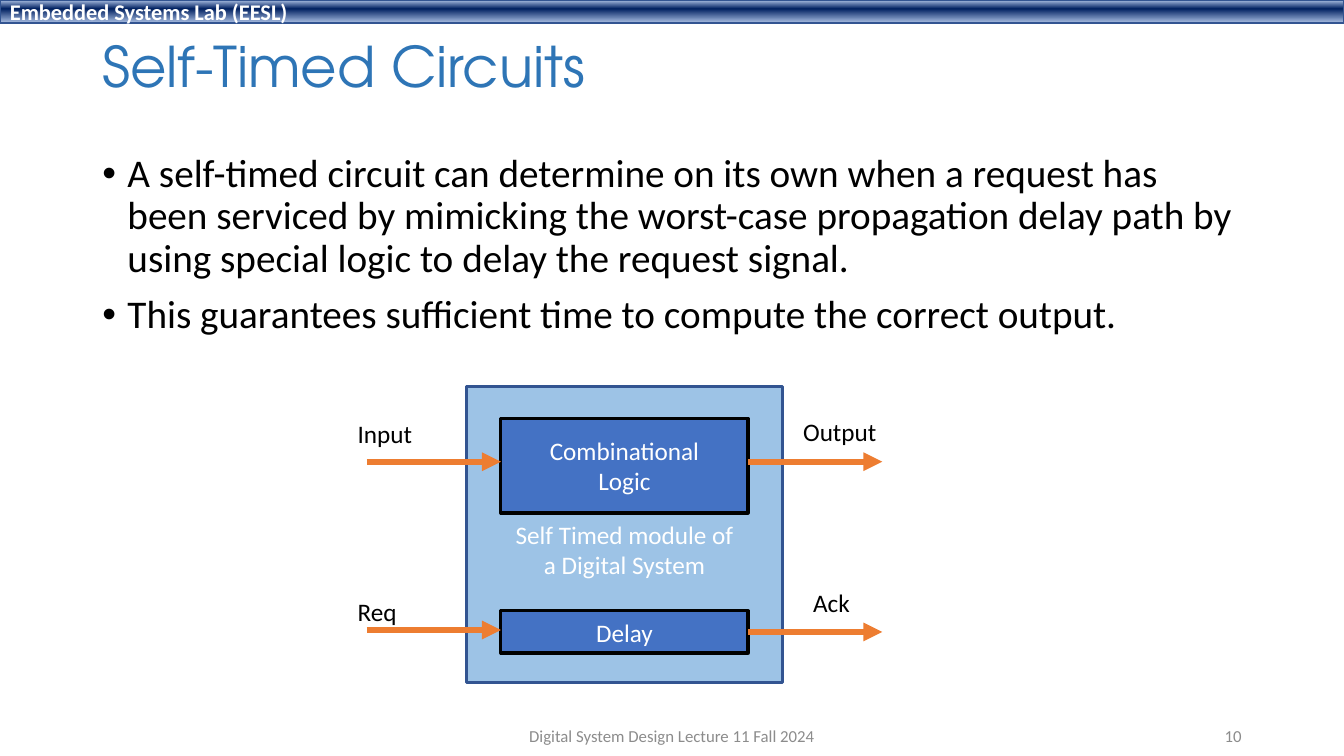
from dataclasses import dataclass
from lxml.etree import SubElement
from pptx import Presentation
from pptx.dml.color import RGBColor
from pptx.enum.shapes import MSO_CONNECTOR, MSO_SHAPE
from pptx.enum.text import MSO_ANCHOR, MSO_AUTO_SIZE, PP_ALIGN
from pptx.oxml import parse_xml
from pptx.oxml.ns import nsdecls, qn
from pptx.util import Pt


@dataclass(frozen=True)
class Theme:
    """Colours, fonts and type sizes of the slide."""
    white: str = "FFFFFF"
    black: str = "000000"
    title: str = "2E75B6"
    edge: str = "325491"
    module: str = "9DC3E6"
    block: str = "4472C4"
    arrow: str = "ED7D31"
    footer: str = "8C8C8C"
    bar_stops: tuple = ((0, "ABC0E4"), (38, "002060"), (100, "ACC1E5"))
    body_font: str = "Calibri"
    title_font: str = "TeX Gyre Adventor"
    title_size: int = 40
    body_size: int = 28
    label_size: int = 18
    bar_size: int = 16
    footer_size: int = 12


THEME = Theme()


def assign(target, values):
    """Set each attribute named in a dict."""
    for name, value in values.items():
        setattr(target, name, value)


def place(box):
    """Turn a box in points into lengths."""
    return [Pt(value) for value in box]


def write(frame, lines, size, color, font=THEME.body_font, bold=False,
          para_format=None, bullet=False, **frame_format):
    """Fill a text frame with one paragraph per line."""
    assign(frame, {"word_wrap": True, "auto_size": MSO_AUTO_SIZE.NONE,
                   "vertical_anchor": MSO_ANCHOR.MIDDLE, **frame_format})
    for index, line in enumerate(lines):
        para = frame.paragraphs[0] if index == 0 else frame.add_paragraph()
        if bullet:
            properties = para._p.get_or_add_pPr()
            properties.set("marL", str(Pt(18)))
            properties.set("indent", str(-Pt(18)))
            SubElement(properties, qn("a:buFont")).set("typeface", "Arial")
            SubElement(properties, qn("a:buChar")).set("char", "•")
            para.space_before = Pt(10 if index else 0)
        assign(para, {"alignment": PP_ALIGN.LEFT, **(para_format or {})})
        span = para.add_run()
        span.text = line
        assign(span.font, {"name": font, "size": Pt(size), "bold": bold})
        span.font.color.rgb = RGBColor.from_string(color)


def add_text(page, box, lines, size, color, **options):
    """Add a text box."""
    write(page.shapes.add_textbox(*place(box)).text_frame, lines, size, color, **options)


def add_block(page, box, fill, edge, width):
    """Add an outlined rectangle and return it."""
    block = page.shapes.add_shape(MSO_SHAPE.RECTANGLE, *place(box))
    block.shadow.inherit = False
    block.fill.solid()
    block.fill.fore_color.rgb = RGBColor.from_string(fill)
    block.line.color.rgb = RGBColor.from_string(edge)
    block.line.width = Pt(width)
    return block


def add_arrow(page, left, right, height):
    """Add a horizontal arrow pointing right."""
    arrow = page.shapes.add_connector(
        MSO_CONNECTOR.STRAIGHT, *place((left, height, right, height)))
    arrow.line.color.rgb = RGBColor.from_string(THEME.arrow)
    arrow.line.width = Pt(4.5)
    SubElement(arrow.line._get_or_add_ln(), qn("a:tailEnd")).set("type", "triangle")
    SubElement(arrow._element.spPr, qn("a:effectLst"))


def add_bar(page, box):
    """Add the gradient bar with the lab name."""
    bar = add_block(page, box, THEME.block, THEME.edge, 1)
    bar.fill.gradient()
    bar.fill.gradient_angle = 270
    gradient = bar._element.spPr.find(qn("a:gradFill"))
    stops = "".join(f'<a:gs pos="{position * 1000}"><a:srgbClr val="{color}"/></a:gs>'
                    for position, color in THEME.bar_stops)
    gradient.replace(gradient.find(qn("a:gsLst")),
                     parse_xml(f'<a:gsLst {nsdecls("a")}>{stops}</a:gsLst>'))
    write(bar.text_frame, ["Embedded Systems Lab (EESL)"], THEME.bar_size,
          THEME.white, bold=True)


def add_title(page, box):
    """Move and format the title placeholder."""
    title = page.shapes.title
    assign(title, dict(zip(("left", "top", "width", "height"), place(box))))
    write(title.text_frame, ["Self-Timed Circuits"], THEME.title_size, THEME.title,
          font=THEME.title_font, para_format={"line_spacing": 0.9})


def add_body(page, box):
    """Add the bulleted text."""
    add_text(page, box, [
        "A self-timed circuit can determine on its own when a request has been serviced "
        "by mimicking the worst-case propagation delay path by using special logic to "
        "delay the request signal.",
        "This guarantees sufficient time to compute the correct output.",
    ], THEME.body_size, THEME.black, bullet=True,
        para_format={"line_spacing": 0.9}, vertical_anchor=MSO_ANCHOR.TOP)


def add_diagram(page, box):
    """Draw the module with its two blocks, arrows and labels."""
    left, top, width, height = box
    inset, reach = 24.4, 95.8
    centred = {"alignment": PP_ALIGN.CENTER}
    module = add_block(page, box, THEME.module, THEME.edge, 2.25)
    write(module.text_frame, ["Self Timed module of", "a Digital System"],
          THEME.label_size, THEME.white, para_format=centred, margin_top=Pt(25.6))
    for lines, offset, block_height in ((["Combinational", "Logic"], 23, 67.7),
                                        (["Delay"], 160.5, 30.2)):
        block = add_block(page, (left + inset, top + offset, width - 2 * inset, block_height),
                          THEME.block, THEME.black, 2.25)
        write(block.text_frame, lines, THEME.label_size, THEME.white, para_format=centred)
    entry, outlet = left + inset, left + width - inset
    for start, offset in ((entry - reach, 54), (entry - reach, 174.2),
                          (outlet, 175.6), (outlet, 54)):
        add_arrow(page, start, start + reach, top + offset)
    for label, across, down, label_width in (("Input", -85, 19.4, 54), ("Req", -85, 146.4, 42.5),
                                             ("Output", 233.2, 18, 67.7),
                                             ("Ack", 240.4, 140, 41)):
        add_text(page, (left + across, top + down, label_width, 29), [label],
                 THEME.label_size, THEME.black, word_wrap=False,
                 auto_size=MSO_AUTO_SIZE.SHAPE_TO_FIT_TEXT, vertical_anchor=MSO_ANCHOR.TOP)


def add_footer(page, box):
    """Add the course line and the page number."""
    left, top, width, height = box
    for text, across, part_width, alignment in (
            ("Digital System Design Lecture 11 Fall 2024", 252, 324, PP_ALIGN.CENTER),
            ("10", width - 216, 216, PP_ALIGN.RIGHT)):
        add_text(page, (left + across, top, part_width, height), [text],
                 THEME.footer_size, THEME.footer, para_format={"alignment": alignment})


def main():
    """Build and save the deck."""
    deck = Presentation()
    assign(deck, {"slide_width": Pt(960), "slide_height": Pt(540)})
    page = deck.slides.add_slide(deck.slide_layouts[5])
    add_bar(page, (0, 0, 960, 16.6))
    add_title(page, (66, 21.6, 828, 55.4))
    add_body(page, (66, 106.2, 828, 145.4))
    add_diagram(page, (333.4, 275.8, 225.4, 211.7))
    add_footer(page, (66, 511, 828, 28.8))
    deck.save("out.pptx")


if __name__ == "__main__":
    main()
